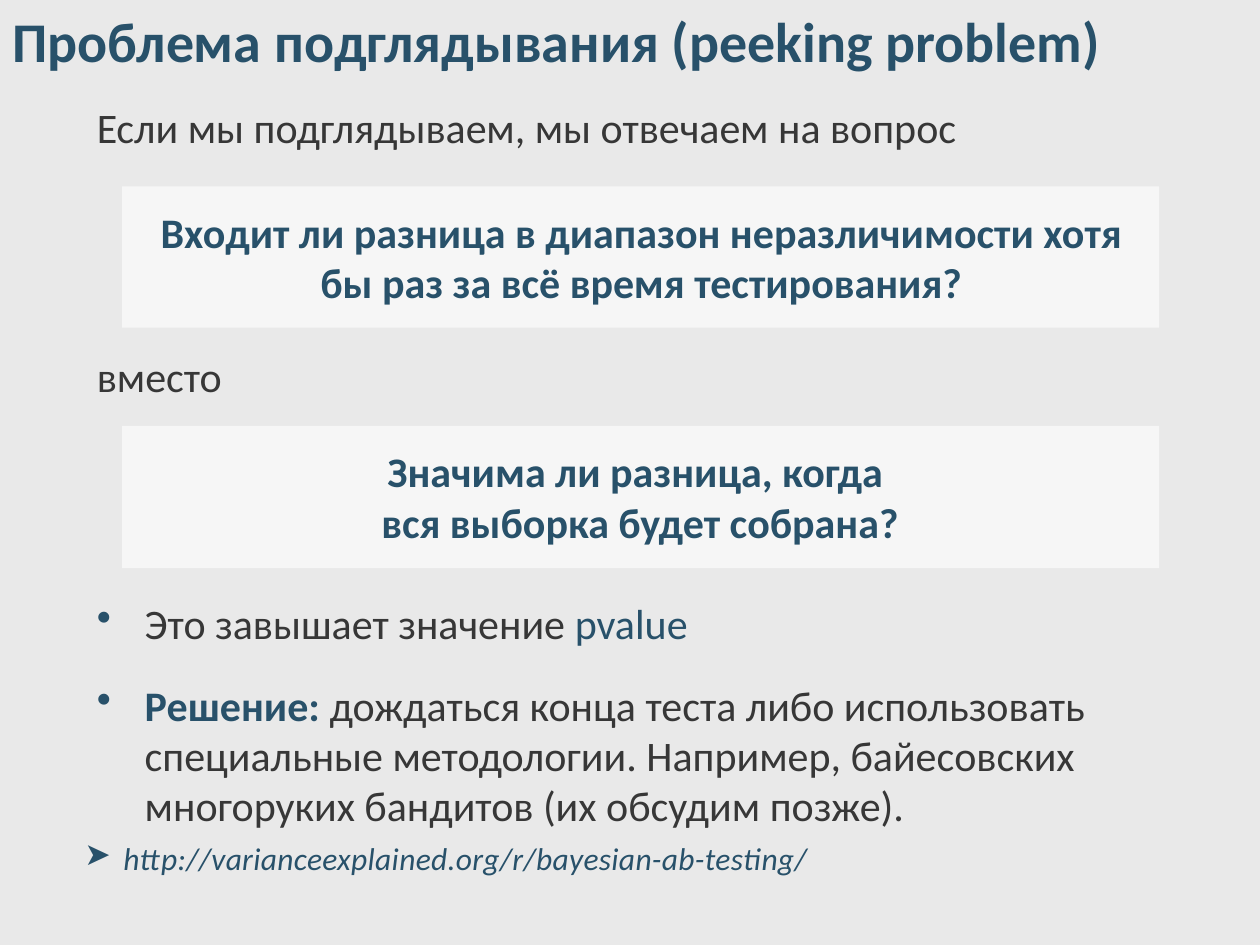
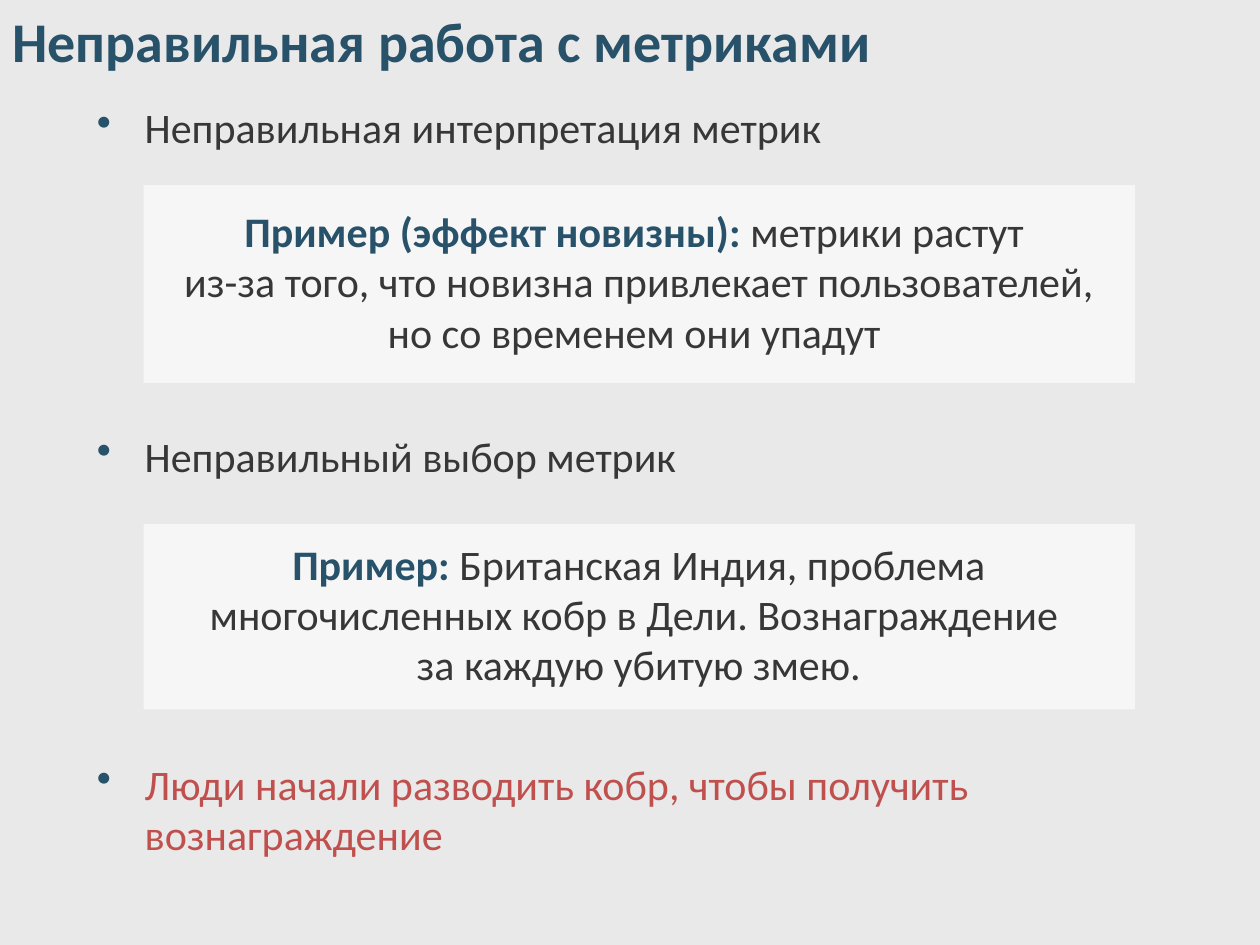
from dataclasses import dataclass

from lxml.etree import SubElement
from pptx import Presentation
from pptx.dml.color import RGBColor
from pptx.enum.shapes import MSO_SHAPE as Shape
from pptx.enum.text import MSO_ANCHOR as Anchor, PP_ALIGN as Align
from pptx.oxml.ns import qn
from pptx.util import Inches, Pt


@dataclass(frozen=True)
class Theme:
    font: str = "Calibri"
    background: str = "E9E9E9"
    accent: str = "28516A"
    body: str = "373737"
    warning: str = "C0504D"
    panel: str = "FFFFFF"
    panel_opacity: int = 60
    title_size: int = 32
    body_size: int = 24
    link_size: int = 18
    paragraph_gap: int = 18


class Deck:
    """Holds the theme and the slide being built."""

    def __init__(self, theme):
        self.theme = theme
        self.presentation = Presentation()
        self.presentation.slide_width = Inches(10)
        self.presentation.slide_height = Inches(7.5)
        self.slide = None

    def new_slide(self, title):
        blank = self.presentation.slide_layouts[6]
        self.slide = self.presentation.slides.add_slide(blank)
        fill = self.slide.background.fill
        fill.solid()
        fill.fore_color.rgb = RGBColor.from_string(self.theme.background)
        frame = self.text_frame(0, 0, 10, 0.68)
        self.add_run(frame.paragraphs[0], title, self.theme.accent,
                     bold=True, size=self.theme.title_size)

    def text_frame(self, left, top, width, height, inset=True, anchor=Anchor.TOP):
        box = self.slide.shapes.add_textbox(
            Inches(left), Inches(top), Inches(width), Inches(height))
        frame = box.text_frame
        frame.word_wrap = True
        frame.vertical_anchor = anchor
        frame.margin_left = Inches(0.1 if inset else 0)
        frame.margin_top = Inches(0.05 if inset else 0)
        frame.margin_right = frame.margin_bottom = 0
        return frame

    def add_run(self, paragraph, text, color, bold=False, italic=False, size=None):
        for index, line in enumerate(text.split("\n")):
            if index:
                paragraph.add_line_break()
            run = paragraph.add_run()
            run.text = line
            font = run.font
            font.name = self.theme.font
            font.size = Pt(size or self.theme.body_size)
            font.bold = bold
            font.italic = italic
            font.color.rgb = RGBColor.from_string(color)

    def add_bullet(self, paragraph, symbol, indent):
        properties = paragraph._p.get_or_add_pPr()
        properties.set("marL", str(Inches(indent)))
        properties.set("indent", str(-Inches(indent)))
        color = SubElement(properties, qn("a:buClr"))
        SubElement(color, qn("a:srgbClr"), val=self.theme.accent)
        SubElement(properties, qn("a:buChar"), char=symbol)

    def body(self, left, top, width, height, *paragraphs, bullets=False):
        """Each paragraph is a list of (text, colour, bold) runs."""
        frame = self.text_frame(left, top, width, height)
        for index, runs in enumerate(paragraphs):
            paragraph = frame.add_paragraph() if index else frame.paragraphs[0]
            if bullets:
                self.add_bullet(paragraph, "•", 0.38)
            paragraph.space_after = Pt(self.theme.paragraph_gap)
            for run in runs:
                self.add_run(paragraph, *run)

    def panel(self, left, top, width, height):
        shape = self.slide.shapes.add_shape(
            Shape.RECTANGLE, Inches(left), Inches(top), Inches(width), Inches(height))
        shape.shadow.inherit = False
        shape.line.fill.background()
        shape.fill.solid()
        shape.fill.fore_color.rgb = RGBColor.from_string(self.theme.panel)
        color = shape._element.spPr.find(f".//{qn('a:srgbClr')}")
        SubElement(color, qn("a:alpha"), val=str(self.theme.panel_opacity * 1000))

    def centered(self, left, top, width, height, *runs, anchor=Anchor.MIDDLE):
        frame = self.text_frame(left, top, width, height, inset=False, anchor=anchor)
        paragraph = frame.paragraphs[0]
        paragraph.alignment = Align.CENTER
        for run in runs:
            self.add_run(paragraph, *run)

    def reference(self, left, top, width, height, address):
        frame = self.text_frame(left, top, width, height, inset=False,
                                anchor=Anchor.MIDDLE)
        paragraph = frame.paragraphs[0]
        self.add_bullet(paragraph, "➤", 0.31)
        self.add_run(paragraph, address, self.theme.accent, italic=True,
                     size=self.theme.link_size)
        paragraph.runs[0]._r.get_or_add_rPr().set("spc", "20")


def build_peeking_slide(deck):
    theme = deck.theme
    deck.new_slide("Проблема подглядывания (peeking problem)")

    # The two questions being contrasted
    deck.body(0.67, 0.76, 8.82, 0.59,
              [("Если мы подглядываем, мы отвечаем на вопрос", theme.body)])
    deck.panel(0.97, 1.48, 8.23, 1.12)
    deck.centered(1.24, 1.46, 7.7, 1.16,
                  ("Входит ли разница в диапазон неразличимости хотя "
                   "бы раз за всё время тестирования?", theme.accent, True))
    deck.body(0.67, 2.73, 1.72, 0.49, [("вместо", theme.body)])
    deck.panel(0.97, 3.38, 8.23, 1.13)
    deck.centered(2.26, 3.46, 5.64, 0.96,
                  ("Значима ли разница, когда \nвся выборка будет собрана?",
                   theme.accent, True))

    # Consequence, solution and further reading
    deck.body(0.67, 4.69, 8.58, 2.25,
              [("Это завышает значение ", theme.body), ("pvalue", theme.accent)],
              [("Решение: ", theme.accent, True),
               ("дождаться конца теста либо использовать специальные методологии. "
                "Например, байесовских многоруких бандитов (их обсудим позже).",
                theme.body)],
              bullets=True)
    deck.reference(0.67, 6.66, 8.64, 0.3,
                   "http://varianceexplained.org/r/bayesian-ab-testing/")


def build_metrics_slide(deck):
    theme = deck.theme
    deck.new_slide("Неправильная работа с метриками")

    # Evenly spaced main points
    points = [
        ("Неправильная интерпретация метрик", theme.body),
        ("Неправильный выбор метрик", theme.body),
        ("Люди начали разводить кобр, чтобы получить вознаграждение", theme.warning),
    ]
    for index, point in enumerate(points):
        deck.body(0.67, 0.76 + 2.605 * index, 8.82, 0.95, [point], bullets=True)

    # Example panels: top, height, text top, label, text
    examples = [
        (1.47, 1.57, 1.63, "Пример (эффект новизны): ",
         "метрики растут \nиз-за того, что новизна привлекает пользователей, "
         "но со временем они упадут "),
        (4.16, 1.47, 4.27, "Пример: ",
         "Британская Индия, проблема многочисленных кобр в Дели. "
         "Вознаграждение \nза каждую убитую змею."),
    ]
    for top, height, text_top, label, text in examples:
        deck.panel(1.14, top, 7.87, height)
        deck.centered(1.26, text_top, 7.62, 1.25, (label, theme.accent, True),
                      (text, theme.body), anchor=Anchor.TOP)


def main():
    deck = Deck(Theme())
    build_peeking_slide(deck)
    build_metrics_slide(deck)
    deck.presentation.save("out.pptx")


if __name__ == "__main__":
    main()
